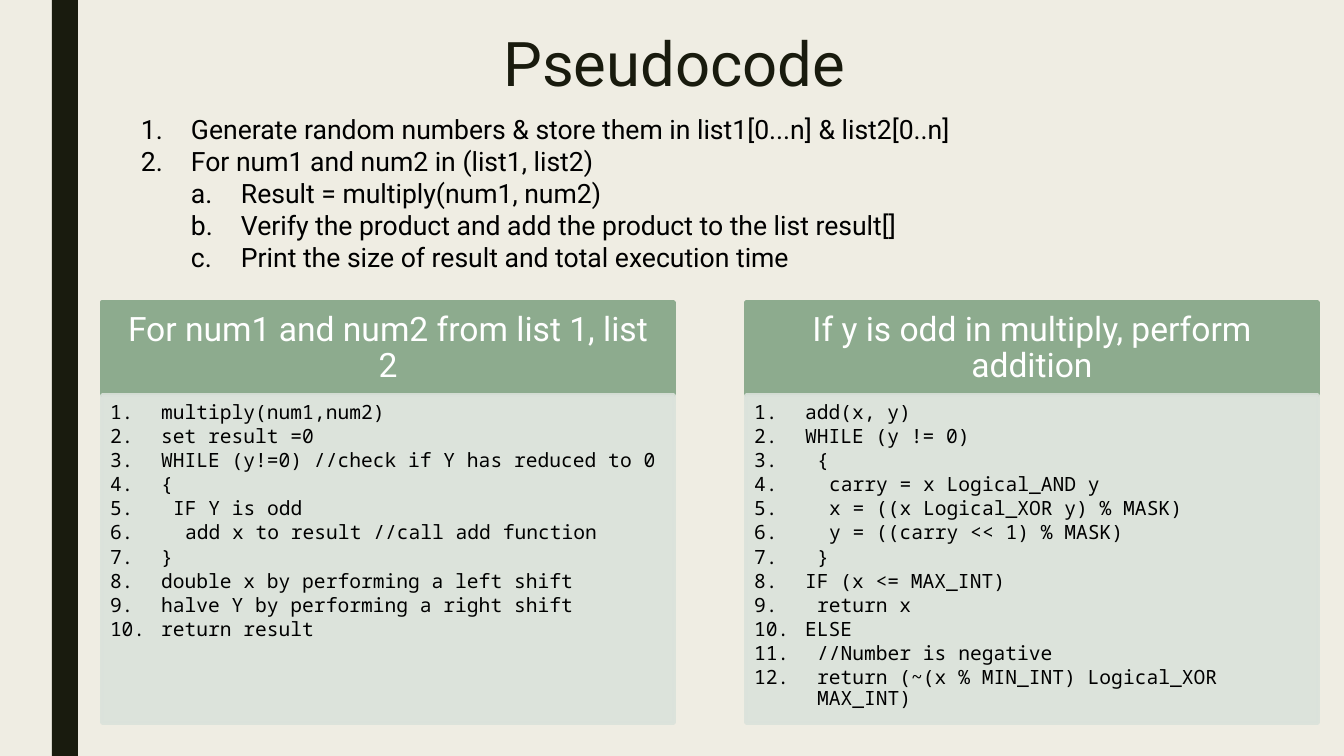
import pptx
import pptx.dml.color
import pptx.enum.shapes
import pptx.enum.text
import pptx.oxml.ns
import pptx.util
from lxml import etree

PIXEL = 914400 / 100.8
SANS, MONO = "Roboto", "Noto Sans Mono"
INK, BLACK, WHITE = "191B0E", "000000", "FFFFFF"
PAPER, GREEN, PALE = "EFEDE3", "8DAB8E", "DBE2DB"
CODE_STEP = 12  # width of one character of code

STEPS = [
    (0, "Generate random numbers & store them in list1[0...n] & list2[0..n]"),
    (0, "For num1 and num2 in (list1, list2)"),
    (1, "Result = multiply(num1, num2)"),
    (1, "Verify the product and add the product to the list result[]"),
    (1, "Print the size of result and total execution time"),
]

# Code lines: (indent in characters, text)
MULTIPLY = [
    (0, "multiply(num1,num2)"),
    (0, "set result =0"),
    (0, "WHILE (y!=0) //check if Y has reduced to 0"),
    (0, "{"),
    (1, "IF Y is odd"),
    (2, "add x to result //call add function"),
    (0, "}"),
    (0, "double x by performing a left shift"),
    (0, "halve Y by performing a right shift"),
    (0, "return result"),
]
ADD = [
    (0, "add(x, y)"),
    (0, "WHILE (y != 0)"),
    (1, "{"),
    (2, "carry = x Logical_AND y"),
    (2, "x = ((x Logical_XOR y) % MASK)"),
    (2, "y = ((carry << 1) % MASK)"),
    (1, "}"),
    (0, "IF (x <= MAX_INT)"),
    (1, "return x"),
    (0, "ELSE"),
    (1, "//Number is negative"),
    (1, "return (~(x % MIN_INT) Logical_XOR MAX_INT)"),
]


def px(length):
    return pptx.util.Emu(round(length * PIXEL))


def rgb(value):
    return pptx.dml.color.RGBColor.from_string(value)


def place(shape, left, top, width, height):
    shape.left, shape.top = px(left), px(top)
    shape.width, shape.height = px(width), px(height)


def set_frame(frame, insets=(10, 5, 10, 5), middle=False):
    anchors = pptx.enum.text.MSO_ANCHOR
    frame.word_wrap = True
    frame.vertical_anchor = anchors.MIDDLE if middle else anchors.TOP
    (frame.margin_left, frame.margin_top,
     frame.margin_right, frame.margin_bottom) = map(px, insets)


def write(para, text, size, font=SANS, color=BLACK, center=False,
          spacing=1.0, after=0):
    aligns = pptx.enum.text.PP_ALIGN
    para.alignment = aligns.CENTER if center else aligns.LEFT
    para.line_spacing = spacing
    para.space_before = pptx.util.Pt(0)
    para.space_after = pptx.util.Pt(after)
    span = para.add_run()
    span.text = text
    span.font.size = pptx.util.Pt(size)
    span.font.name = font
    span.font.color.rgb = rgb(color)


def number(para, margin, hang, style="arabicPeriod"):
    properties = para._p.get_or_add_pPr()
    properties.set("marL", str(px(margin)))
    properties.set("indent", str(px(-hang)))
    etree.SubElement(properties, pptx.oxml.ns.qn("a:buFont"), typeface="+mj-lt")
    etree.SubElement(properties, pptx.oxml.ns.qn("a:buAutoNum"), type=style)


def next_para(frame, index):
    return frame.add_paragraph() if index else frame.paragraphs[0]


def add_rect(page, area, color, line=0, alpha=100):
    kind = pptx.enum.shapes.MSO_SHAPE.RECTANGLE
    box = page.shapes.add_shape(kind, *map(px, area))
    box.shadow.inherit = False
    box.fill.solid()
    box.fill.fore_color.rgb = rgb(color)
    if line:
        box.line.width = pptx.util.Pt(line)
        box.line.color.rgb = rgb(color)
    else:
        box.line.fill.background()
    if alpha < 100:
        for tint in box._element.spPr.iter(pptx.oxml.ns.qn("a:srgbClr")):
            etree.SubElement(tint, pptx.oxml.ns.qn("a:alpha"),
                             val=str(alpha * 1000))
    return box


def add_title(page, text):
    title = page.shapes.title
    place(title, 151, 26, 1047, 82)
    set_frame(title.text_frame, middle=True)
    write(title.text_frame.paragraphs[0], text, 44, color=INK, center=True,
          spacing=0.89)


def add_steps(page, steps):
    box = page.shapes.add_textbox(*map(px, (131, 108, 1185, 171)))
    set_frame(box.text_frame)
    for index, (level, text) in enumerate(steps):
        para = next_para(box.text_frame, index)
        para.level = level
        write(para, text, 19)
        number(para, 50 * (level + 1), 50,
               "alphaLcPeriod" if level else "arabicPeriod")


def add_code_panel(page, left, heading, lines):
    header = add_rect(page, (left, 302, 572, 93), GREEN, line=2.75)
    set_frame(header.text_frame, (19, 11, 19, 11), middle=True)
    write(header.text_frame.paragraphs[0], heading, 24, color=WHITE,
          center=True, spacing=0.9)

    body = add_rect(page, (left, 395, 572, 328), PALE, line=2.75, alpha=90)
    set_frame(body.text_frame, (8, 8, 11, 12))
    for index, (depth, text) in enumerate(lines):
        para = next_para(body.text_frame, index)
        para.level = 1
        write(para, text, 14, font=MONO, spacing=0.9, after=2)
        margin = 51 + depth * CODE_STEP
        number(para, margin, margin)


def main():
    deck = pptx.Presentation()
    deck.slide_width, deck.slide_height = px(1344), px(756)
    page = deck.slides.add_slide(deck.slide_layouts[5])

    # Background and side bar
    page.background.fill.solid()
    page.background.fill.fore_color.rgb = rgb(PAPER)
    add_rect(page, (52, 0, 26, 756), INK)

    # Title and outline of the program
    add_title(page, "Pseudocode")
    add_steps(page, STEPS)

    # Code panels
    add_code_panel(page, 102, "For num1 and num2 from list 1, list 2", MULTIPLY)
    add_code_panel(page, 746, "If y is odd in multiply, perform addition", ADD)

    deck.save("out.pptx")


main()
